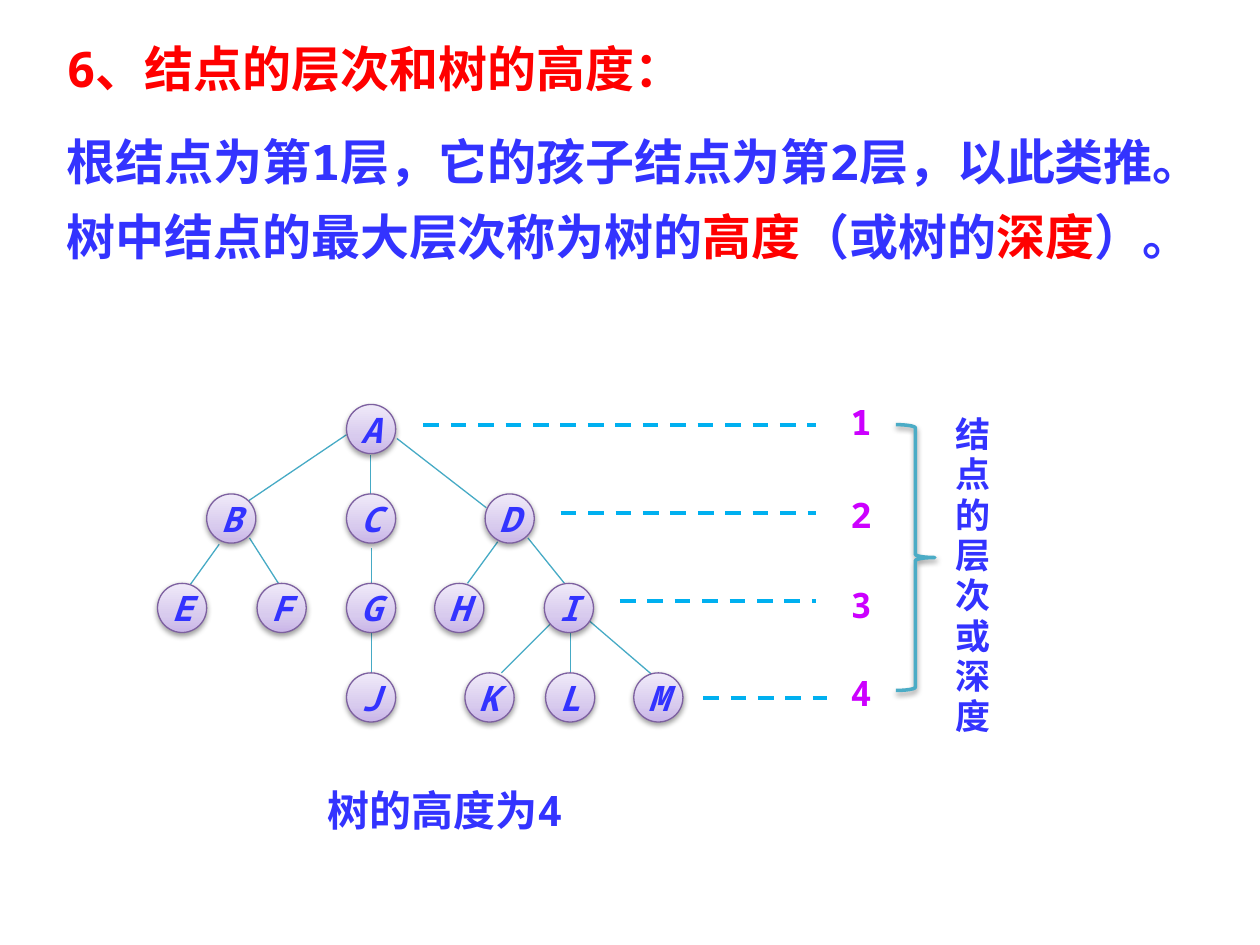
"""Build a slide on node levels and the height of a tree."""
from lxml import etree
from pptx import Presentation
from pptx import util as u
from pptx.dml.color import RGBColor
from pptx.enum import dml, shapes, text
from pptx.oxml import ns

RED = RGBColor(0xFF, 0x00, 0x00)
BLUE = RGBColor(0x33, 0x33, 0xFF)
MAGENTA = RGBColor(0xCC, 0x00, 0xFF)
TEAL = RGBColor(0x46, 0xAA, 0xC5)
BRACE_TEAL = RGBColor(0x4B, 0xAC, 0xC6)
SKY = RGBColor(0x00, 0xB0, 0xF0)
PURPLE = RGBColor(0x7D, 0x60, 0xA0)
NODE_STOPS = ((0, "C9B5E8"), (35, "D8CBEE"), (100, "F0EAF9"))

MONO = "Noto Sans Mono"
CJK = "Noto Sans CJK JP"
NODE_SIZE = 0.39
TREE_TOP = 3.21
LEVEL_STEP = 0.71

LEVELS = (
    {"A": 2.75},
    {"B": 1.64, "C": 2.75, "D": 3.85},
    {"E": 1.25, "F": 2.04, "G": 2.75, "H": 3.45, "I": 4.32},
    {"J": 2.75, "K": 3.69, "L": 4.33, "M": 5.03},
)
EDGES = (
    (2.75, 3.45, 1.95, 3.99), (2.94, 3.61, 2.94, 3.92), (3.15, 3.48, 3.86, 4.03),
    (1.74, 4.32, 1.51, 4.64), (1.98, 4.27, 2.21, 4.63), (2.95, 4.35, 2.95, 4.63),
    (3.95, 4.3, 3.71, 4.63), (4.19, 4.27, 4.48, 4.63), (2.95, 5.02, 2.95, 5.34),
    (4.37, 4.95, 3.98, 5.34), (4.53, 5.02, 4.53, 5.34), (4.68, 4.93, 5.17, 5.35),
)
LEVEL_GUIDES = (
    (3.13, 3.36, 6.48, 3.37), (3.87, 4.45, 6.48, 4.07),
    (4.58, 4.92, 6.48, 4.77), (5.28, 5.58, 6.56, 5.54),
)


class SlideBuilder:
    """Hold the slide and its style, and draw each kind of element."""

    def __init__(self, slide):
        self.slide = slide

    def add_child(self, parent, tag, **attributes):
        return etree.SubElement(parent, ns.qn(tag), attributes)

    def run(self, paragraph, words, size, color, font=MONO, italic=False, spacing=0):
        run = paragraph.add_run()
        run.text = words
        run.font.size = u.Pt(size)
        run.font.bold = True
        run.font.italic = italic
        run.font.color.rgb = color
        run.font.name = font
        properties = run.font._element
        self.add_child(properties, "a:ea", typeface=CJK)
        if spacing:
            properties.set("spc", str(spacing * 100))

    def text_box(self, left, top, width, height):
        box = self.slide.shapes.add_textbox(
            u.Inches(left), u.Inches(top), u.Inches(width), u.Inches(height))
        frame = box.text_frame
        frame.word_wrap = True
        frame.auto_size = text.MSO_AUTO_SIZE.SHAPE_TO_FIT_TEXT
        return frame

    def label(self, words, place, size, color, align=None, spacing=0, vertical=False):
        frame = self.text_box(*place)
        if vertical:
            frame._txBody.bodyPr.set("vert", "eaVert")
        paragraph = frame.paragraphs[0]
        paragraph.alignment = align
        self.run(paragraph, words, size, color, spacing=spacing)

    def line(self, start_x, start_y, end_x, end_y, color, width, dash=None):
        connector = self.slide.shapes.add_connector(
            shapes.MSO_CONNECTOR.STRAIGHT, u.Inches(start_x), u.Inches(start_y),
            u.Inches(end_x), u.Inches(end_y))
        connector.line.color.rgb = color
        connector.line.width = u.Pt(width)
        if dash:
            connector.line.dash_style = dash
        self.add_child(connector._element.spPr, "a:effectLst")

    def shadowed_shape(self, kind, place, color, width):
        shape = self.slide.shapes.add_shape(kind, *map(u.Inches, place))
        shape.fill.background()
        shape.line.color.rgb = color
        shape.line.width = u.Pt(width)
        shape.shadow.inherit = False
        effects = shape._element.spPr.find(ns.qn("a:effectLst"))
        shadow = self.add_child(
            effects, "a:outerShdw", blurRad="40000", dist="20000",
            dir="5400000", rotWithShape="0")
        shade = self.add_child(shadow, "a:srgbClr", val="000000")
        self.add_child(shade, "a:alpha", val="38000")
        return shape

    def node(self, letter, left, top):
        shape = self.shadowed_shape(
            shapes.MSO_SHAPE.OVAL, (left, top, NODE_SIZE, NODE_SIZE), PURPLE, 0.75)
        shape.fill.gradient()
        gradient = shape._element.spPr.find(ns.qn("a:gradFill"))
        for child in list(gradient):
            gradient.remove(child)
        stops = self.add_child(gradient, "a:gsLst")
        for position, color in NODE_STOPS:
            stop = self.add_child(stops, "a:gs", pos=str(position * 1000))
            self.add_child(stop, "a:srgbClr", val=color)
        self.add_child(gradient, "a:lin", ang="16200000", scaled="0")
        frame = shape.text_frame
        frame.word_wrap = False
        frame.vertical_anchor = text.MSO_ANCHOR.MIDDLE
        paragraph = frame.paragraphs[0]
        paragraph.alignment = text.PP_ALIGN.CENTER
        self.run(paragraph, letter, 20, BLUE, italic=True)

    def explanation(self):
        frame = self.text_box(0.43, 0.31, 9.26, 1.87)
        content = (
            (u.Pt(30), 0, (("6、", RED, MONO), ("结点的层次和树的高度", RED, CJK),
                           ("：", RED, MONO))),
            (1.1, 16, (("根结点为第1层，它的孩子结点为第2层，以此类推。", BLUE, MONO),)),
            (1.1, 6, (("树中结点的最大层次称为树的", BLUE, MONO), ("高度", RED, MONO),
                      ("（或树的", BLUE, MONO), ("深度", RED, MONO),
                      ("）。", BLUE, MONO))),
        )
        for index, (line_spacing, space_before, runs) in enumerate(content):
            paragraph = frame.add_paragraph() if index else frame.paragraphs[0]
            paragraph.alignment = text.PP_ALIGN.JUSTIFY
            paragraph.line_spacing = line_spacing
            if space_before:
                paragraph.space_before = u.Pt(space_before)
            for words, color, font in runs:
                self.run(paragraph, words, 28, color, font)

    def tree(self):
        for edge in EDGES:
            self.line(*edge, TEAL, 0.75)
        for depth, nodes in enumerate(LEVELS):
            for letter, left in nodes.items():
                self.node(letter, left, TREE_TOP + depth * LEVEL_STEP)

    def level_guides(self):
        for level, (top, start, end, height) in enumerate(LEVEL_GUIDES, 1):
            self.label(str(level), (6.64, top, 0.39, 0.43), 20, MAGENTA,
                       text.PP_ALIGN.CENTER)
            self.line(start, height, end, height, SKY, 2.25, dml.MSO_LINE.DASH)


def main():
    presentation = Presentation()
    presentation.slide_width = u.Inches(10)
    presentation.slide_height = u.Inches(7.5)
    builder = SlideBuilder(presentation.slides.add_slide(presentation.slide_layouts[6]))
    builder.explanation()
    builder.tree()
    builder.level_guides()
    builder.label("树的高度为4", (2.5, 6.18, 3.37, 0.5), 24, BLUE)
    builder.shadowed_shape(
        shapes.MSO_SHAPE.RIGHT_BRACE, (7.11, 3.37, 0.31, 2.11), BRACE_TEAL, 2)
    builder.label("结点的层次或深度", (7.39, 3.21, 0.54, 2.97), 20, BLUE,
                  spacing=3, vertical=True)
    presentation.save("out.pptx")


if __name__ == "__main__":
    main()
